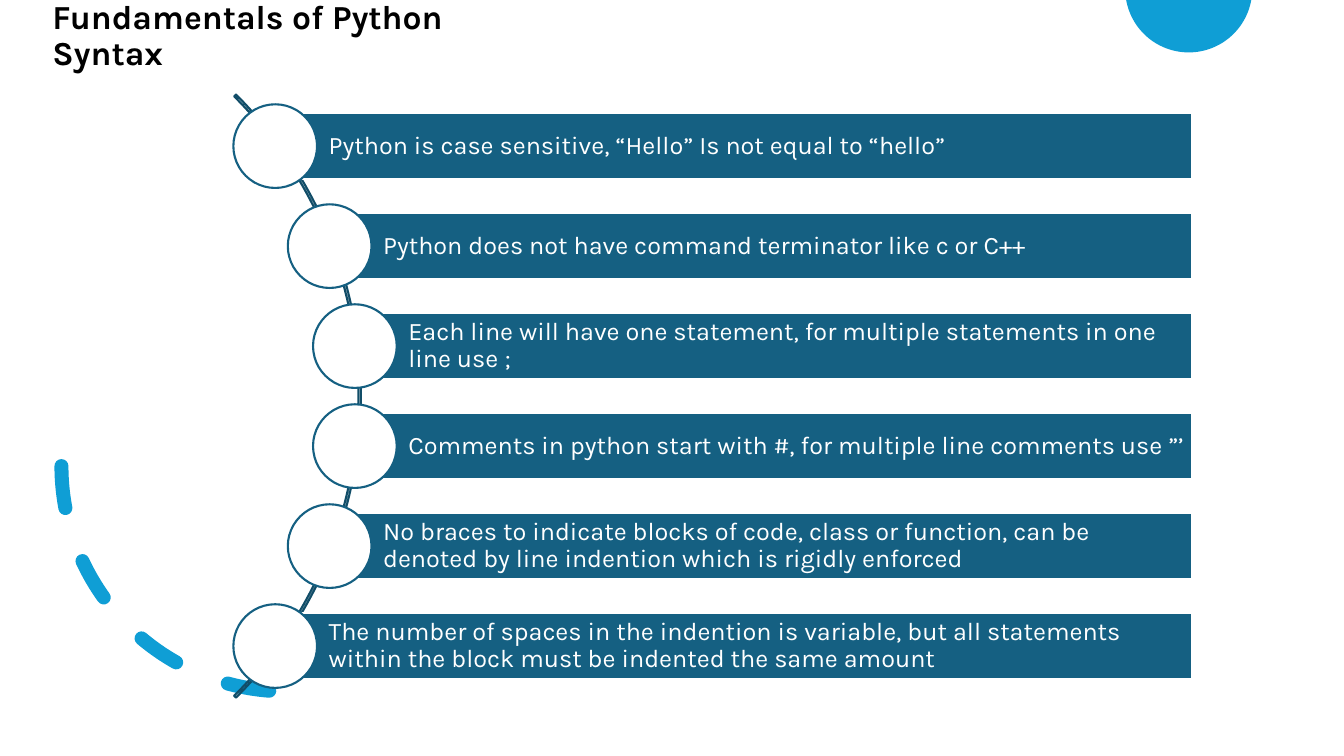
from dataclasses import dataclass
from math import asin, cos, pi, sin

from pptx import Presentation
from pptx.dml.color import RGBColor
from pptx.enum.dml import MSO_LINE
from pptx.enum.shapes import MSO_SHAPE
from pptx.enum.text import MSO_ANCHOR, PP_ALIGN
from pptx.oxml.ns import qn
from pptx.util import Inches, Pt


@dataclass(frozen=True)
class Theme:
    font: str = "Karla"
    title_size: int = 24
    bar_size: int = 18
    line_width: float = 1.5
    dash_width: int = 10
    black: RGBColor = RGBColor.from_string("000000")
    white: RGBColor = RGBColor.from_string("FFFFFF")
    teal: RGBColor = RGBColor.from_string("156082")
    dark_teal: RGBColor = RGBColor.from_string("114D68")
    sky: RGBColor = RGBColor.from_string("0F9ED5")


class SlideBuilder:
    def __init__(self, slide, theme):
        self.s = slide
        self.theme = theme

    def paint(self, sp, fill=None, line=None, width=None):
        sp.shadow.inherit = False
        if fill is None:
            sp.fill.background()
        else:
            sp.fill.solid()
            sp.fill.fore_color.rgb = fill
        if line is None:
            sp.line.fill.background()
        else:
            sp.line.color.rgb = line
            sp.line.width = Pt(width or self.theme.line_width)
        return sp

    def shape(self, kind, x, y, w, h, **style):
        sp = self.s.shapes.add_shape(kind, Inches(x), Inches(y), Inches(w), Inches(h))
        return self.paint(sp, **style)

    def set_text(self, sp, text, size, color, bold=False, left=0.1, right=0.1):
        tf = sp.text_frame
        tf.word_wrap = True
        tf.vertical_anchor = MSO_ANCHOR.MIDDLE
        tf.margin_left, tf.margin_right = Inches(left), Inches(right)
        tf.margin_top = tf.margin_bottom = Inches(0.05)
        p = tf.paragraphs[0]
        p.text = text
        p.alignment = PP_ALIGN.LEFT
        p.line_spacing = 0.9
        p.font.name = self.theme.font
        p.font.size = Pt(size)
        p.font.bold = bold
        p.font.color.rgb = color

    def title(self, text, x, y, w, h):
        sp = self.s.shapes.add_textbox(Inches(x), Inches(y), Inches(w), Inches(h))
        self.set_text(sp, text, self.theme.title_size, self.theme.black, bold=True)

    def cut_disc(self, cx, cy, radius, steps=60):
        start = asin(-cy / radius)
        angles = [start + (pi - 2 * start) * i / steps for i in range(steps + 1)]
        points = [(Inches(cx + radius * cos(a)), Inches(cy + radius * sin(a))) for a in angles]
        fb = self.s.shapes.build_freeform(*points[0])
        fb.add_line_segments(points[1:], close=True)
        self.paint(fb.convert_to_shape(), fill=self.theme.sky)

    def dashed_arc(self, x, y, size):
        sp = self.shape(MSO_SHAPE.ARC, x, y, size, size,
                        line=self.theme.sky, width=self.theme.dash_width)
        sp.line.dash_style = MSO_LINE.DASH
        sp.rotation = 90
        spPr = sp._element.spPr
        spPr.find(qn("a:xfrm")).set("flipV", "1")
        spPr.find(qn("a:ln")).set("cap", "rnd")

    def spine(self, x, y, size):
        sp = self.shape(MSO_SHAPE.BLOCK_ARC, x, y, size, size, line=self.theme.dark_teal)
        for i, value in enumerate((189, 27, 0.003)):
            sp.adjustments[i] = value

    def bar(self, text, x, y, right, height, dot):
        t = self.theme
        sp = self.shape(MSO_SHAPE.RECTANGLE, x, y, right - x, height, fill=t.teal, line=t.white)
        self.set_text(sp, text, t.bar_size, t.white, left=0.53, right=0.05)
        self.shape(MSO_SHAPE.OVAL, x - dot / 2, y + (height - dot) / 2, dot, dot,
                   fill=t.white, line=t.teal)


RULES = [
    (2.73, "Python is case sensitive, “Hello” Is not equal to “hello”"),
    (3.27, "Python does not have command terminator like c or C++"),
    (3.52, "Each line will have one statement, for multiple statements in one line use ;"),
    (3.52, "Comments in python start with #, for multiple line comments use ”’"),
    (3.27, "No braces to indicate blocks of code, class or function, can be denoted "
           "by line indention which is rigidly enforced"),
    (2.73, "The number of spaces in the indention is variable, but all statements "
           "within the block must be indented the same amount"),
]


def main():
    prs = Presentation()
    prs.slide_width, prs.slide_height = Inches(13.33), Inches(7.5)
    b = SlideBuilder(prs.slides.add_slide(prs.slide_layouts[6]), Theme())
    b.cut_disc(11.79, -0.11, 0.63)
    b.title("Fundamentals of Python Syntax", 0.42, 0.08, 5.05, 0.57)
    b.dashed_arc(0.61, 2.39, 4.47)
    b.spine(-4.88, -0.3, 8.46)
    first, last = 1.12, 6.08
    pitch = (last - first) / (len(RULES) - 1)
    for i, (x, text) in enumerate(RULES):
        b.bar(text, x, first + i * pitch, right=11.82, height=0.66, dot=0.83)
    prs.save("out.pptx")


if __name__ == "__main__":
    main()
